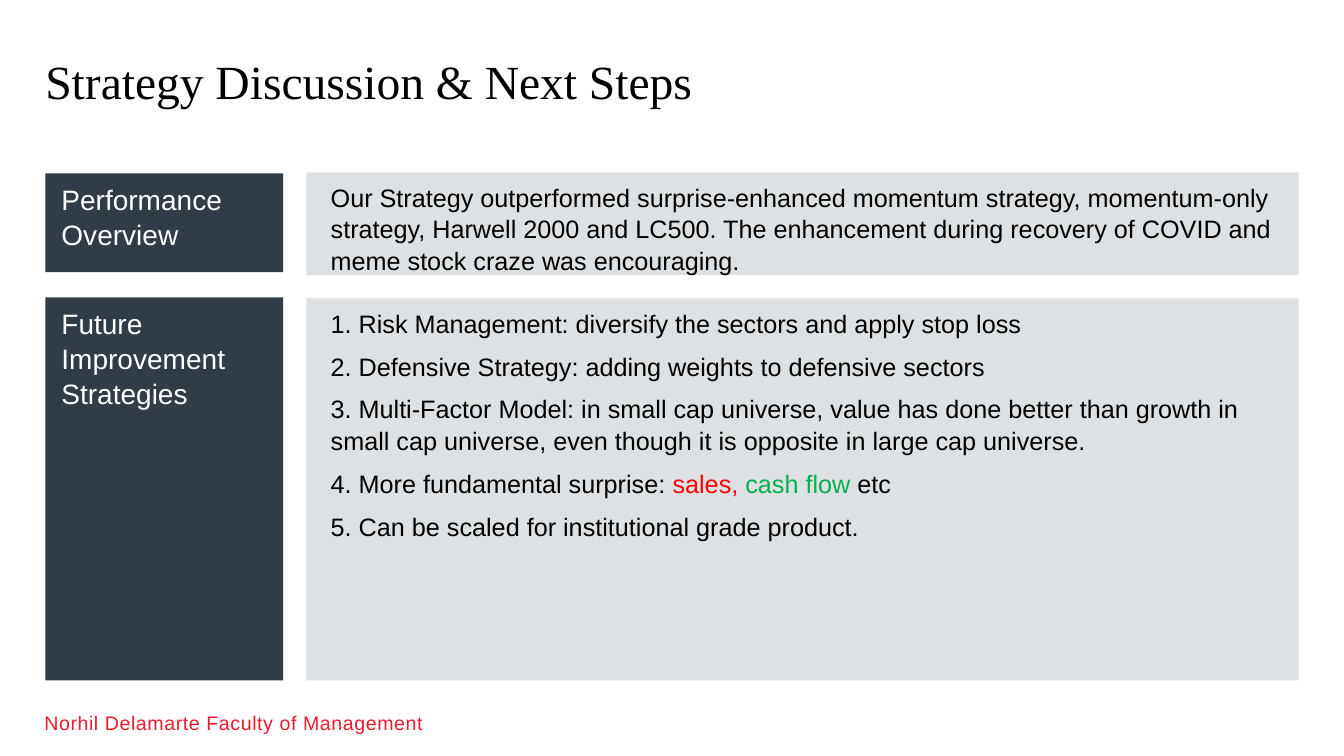
import pptx
import pptx.dml.color
import pptx.enum.shapes
import pptx.enum.text
import pptx.util
from pptx.util import Inches

COLOURS = {
    "slate": "323C46",
    "mist": "DEE1E3",
    "white": "FFFFFF",
    "black": "000000",
    "footer": "ED1B2F",
    "red": "FF0000",
    "green": "00B050",
}

OVERVIEW = [
    [("Our\u00a0Strategy outperformed\u00a0surprise-enhanced momentum strategy, "
      "momentum-only strategy, Harwell 2000 and LC500. The enhancement during "
      "recovery of COVID and meme stock craze\u00a0was encouraging.", "black")],
]
IMPROVEMENTS = [
    [("1. Risk Management: diversify the sectors and apply stop loss", "black")],
    [("2. Defensive Strategy: adding weights to defensive sectors", "black")],
    [("3. Multi-Factor Model: in small cap universe, value has done better than "
      "growth in small cap universe, even though it is opposite in large cap "
      "universe.", "black")],
    [("4. More fundamental surprise: ", "black"), ("sales,\u00a0", "red"),
     ("cash flow ", "green"), ("etc", "black")],
    [("5. Can be scaled for institutional grade product.", "black")],
]

# Label, label top and height, detail paragraphs, detail top and height
SECTIONS = [
    ("Performance Overview", 1.72, 0.98, OVERVIEW, 1.71, 1.02),
    ("Future Improvement Strategies", 2.95, 3.8, IMPROVEMENTS, 2.96, 3.79),
]


def colour(name):
    return pptx.dml.color.RGBColor.from_string(COLOURS[name])


def write(frame, paragraphs, size, font="Arial", line=1.0, before=0,
          margins=(0, 0), tracking=0):
    """Fill a frame with paragraphs, each a list of (text, colour) runs."""
    frame.word_wrap = True
    frame.vertical_anchor = pptx.enum.text.MSO_ANCHOR.TOP
    frame.margin_left = frame.margin_right = Inches(margins[0])
    frame.margin_top = frame.margin_bottom = Inches(margins[1])
    for index, runs in enumerate(paragraphs):
        paragraph = frame.paragraphs[0] if index == 0 else frame.add_paragraph()
        paragraph.alignment = pptx.enum.text.PP_ALIGN.LEFT
        paragraph.line_spacing = line
        paragraph.space_before = pptx.util.Pt(before)
        for text, shade in runs:
            run = paragraph.add_run()
            run.text = text
            run.font.name = font
            run.font.size = pptx.util.Pt(size)
            run.font.color.rgb = colour(shade)
            if tracking:
                run.font._element.set("spc", str(round(tracking * 100)))


def add_text(slide, box, paragraphs, size, **style):
    caption = slide.shapes.add_textbox(*map(Inches, box))
    write(caption.text_frame, paragraphs, size, **style)


def add_panel(slide, box, fill, paragraphs, size, **style):
    panel = slide.shapes.add_shape(
        pptx.enum.shapes.MSO_SHAPE.RECTANGLE, *map(Inches, box))
    panel.shadow.inherit = False
    panel.fill.solid()
    panel.fill.fore_color.rgb = colour(fill)
    panel.line.fill.background()
    write(panel.text_frame, paragraphs, size, **style)


def add_section(slide, left, section):
    """Place a dark label and, to its right, its pale detail panel."""
    label, label_top, label_height, details, detail_top, detail_height = section
    add_panel(slide, (left, label_top, 2.36, label_height), "slate",
              [[(label, "white")]], 20, line=1.04, margins=(0.16, 0.08))
    add_panel(slide, (left + 2.59, detail_top, 9.84, detail_height), "mist",
              details, 18, line=1.05, before=8, margins=(0.24, 0.08))


def build_strategy_slide(deck):
    slide = deck.slides.add_slide(deck.slide_layouts[6])
    add_text(slide, (0.44, 7.03, 7.34, 0.24),
             [[("Norhil Delamarte Faculty of Management", "footer")]],
             14, line=1.08, tracking=0.4)
    add_text(slide, (0.45, 0.6, 12.44, 0.98),
             [[("Strategy Discussion & Next Steps", "black")]],
             34, font="Times New Roman", line=0.85)
    for section in SECTIONS:
        add_section(slide, 0.45, section)


def main():
    deck = pptx.Presentation()
    deck.slide_width = Inches(13.33)
    deck.slide_height = Inches(7.5)
    build_strategy_slide(deck)
    deck.save("out.pptx")


if __name__ == "__main__":
    main()
